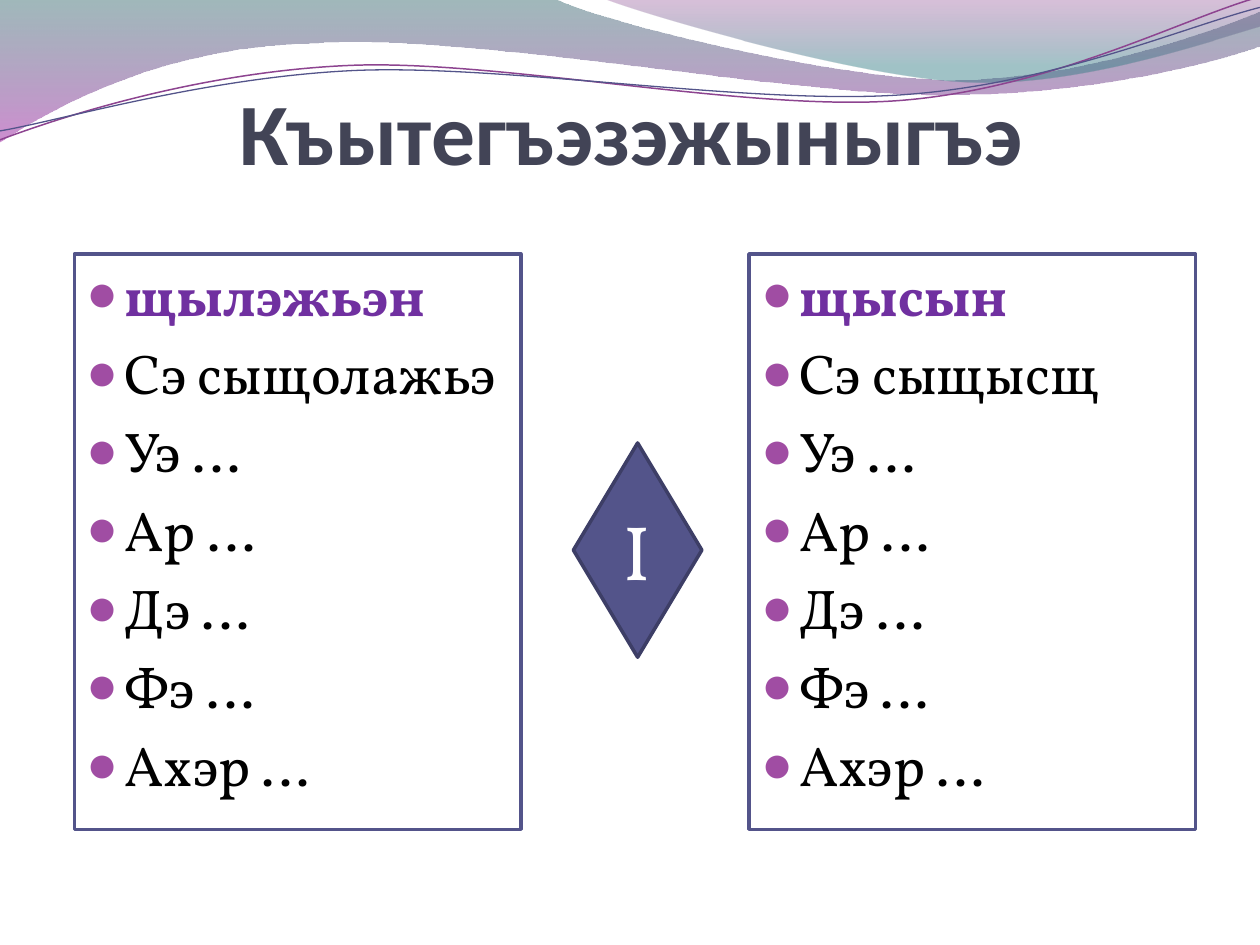
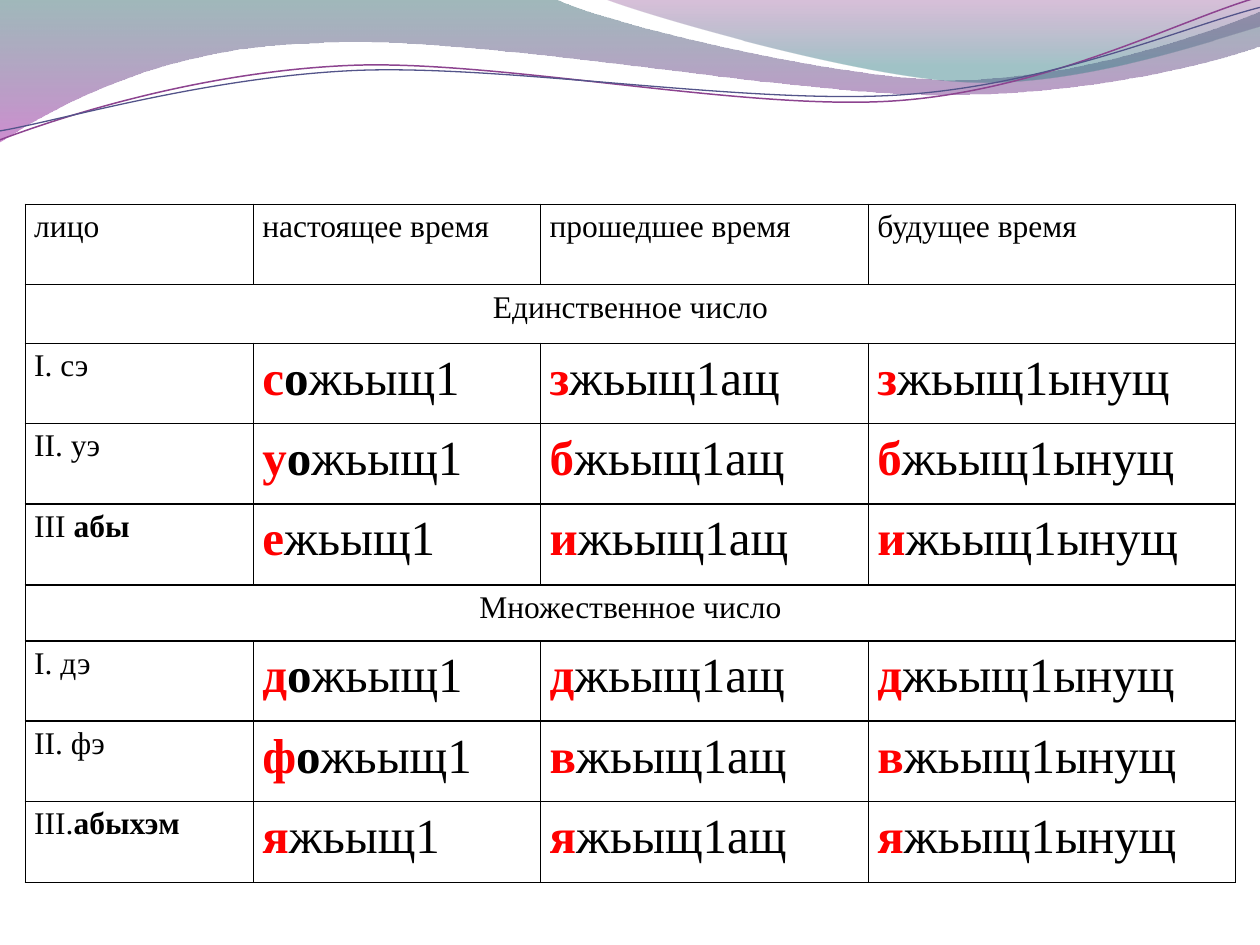
"""Build two slides on verb conjugation: a conjugation exercise and a tense table."""
import lxml.etree
import pptx
import pptx.dml.color
import pptx.enum.shapes
import pptx.enum.text
import pptx.oxml.ns
import pptx.util

Cm = pptx.util.Cm
Pt = pptx.util.Pt
RGBColor = pptx.dml.color.RGBColor
Align = pptx.enum.text.PP_ALIGN
Anchor = pptx.enum.text.MSO_ANCHOR
Shape = pptx.enum.shapes.MSO_SHAPE

WHITE = RGBColor(0xFF, 0xFF, 0xFF)
BLACK = RGBColor(0, 0, 0)
RED = RGBColor(0xFF, 0, 0)
SLATE = RGBColor(0x42, 0x44, 0x56)
INDIGO = RGBColor(0x53, 0x54, 0x8A)
DARK_INDIGO = RGBColor(0x3D, 0x3E, 0x66)
VIOLET = RGBColor(0x70, 0x30, 0xA0)
ORCHID = RGBColor(0xA0, 0x4D, 0xA3)
PLUM = RGBColor(0x8D, 0x44, 0x90)
TEAL = RGBColor(0x2D, 0x63, 0x68)
LIGHT_TEAL = RGBColor(0x2F, 0x7B, 0x82)
MAGENTA = RGBColor(0xA5, 0x30, 0xA9)
PURPLE = RGBColor(0x7F, 0x2F, 0x82)

TITLE = {"name": "Calibri", "size": Pt(50), "bold": True}
LIST_TEXT = {"name": "Vollkorn", "size": Pt(32), "bold": False}
LIST_HEAD = LIST_TEXT | {"bold": True}
BADGE = {"name": "Vollkorn", "size": Pt(44)}
LABEL = {"name": "Times New Roman", "size": Pt(18), "bold": False}
VERB = LABEL | {"size": Pt(28)}

WIDE_WAVE = [
    (0, 0), (11.18, -0.03),
    (12.09, 0.43, 16.87, 1.6, 19.25, 1.6), (21.67, 1.6, 24.33, 0.66, 25.4, 0.23),
    (25.43, 0.91),
    (24.97, 1.12, 22.1, 1.93, 18.95, 1.91), (15.8, 1.91, 9.7, 0.71, 6.53, 0.86),
    (3.28, 0.91, 1.17, 2.11, -0.03, 2.87), (0, 0),
]
RIGHT_WAVE = [
    (12.17, -0.03),
    (12.93, 0.28, 17.32, 1.57, 19.53, 1.65), (21.74, 1.75, 24.41, 0.81, 25.4, 0.53),
    (25.4, 0), (12.17, -0.03),
]
PLUM_LINE = [
    (0, 2.82),
    (1.22, 2.36, 4.01, 1.45, 7.04, 1.32), (10.03, 1.19, 15.06, 2.26, 18.11, 2.03),
    (21.16, 1.8, 23.83, 0.38, 25.35, -0.05),
]
INDIGO_LINE = [
    (0, 2.64),
    (1.19, 2.44, 4.17, 1.55, 7.19, 1.42), (10.24, 1.3, 15.16, 2.13, 18.21, 1.91),
    (21.23, 1.7, 23.9, 0.53, 25.4, 0.15),
]

PRONOUNS = ["Уэ …", "Ар …", "Дэ …", "Фэ …", "Ахэр …"]
TENSES = ["лицо", "настоящее время", "прошедшее время", "будущее время"]
NUMBERS = [
    ("Единственное число", [
        ("I. сэ", "", "с", "о", "з"),
        ("II. уэ", "", "у", "о", "б"),
        ("III ", "абы", "е", "", "и"),
    ]),
    ("Множественное число", [
        ("I. дэ", "", "д", "о", "д"),
        ("II. фэ", "", "ф", "о", "в"),
        ("III.", "абыхэм", "я", "", "я"),
    ]),
]
COLUMN_WIDTHS = [4.6, 5.79, 6.61, 7.4]
ROW_HEIGHTS = [1.62, 1.18, 1.62, 1.62, 1.63, 1.13, 1.62, 1.62, 1.63]


def add_element(parent, tag, **attributes):
    """Append a DrawingML element to a parent and return it."""
    return lxml.etree.SubElement(parent, pptx.oxml.ns.qn(tag), attributes)


def add_span(para, text, color, values):
    """Add a run with the given colour and font values."""
    span = para.add_run()
    span.text = text
    for name, value in values.items():
        setattr(span.font, name, value)
    span.font.color.rgb = color


def bend(outline, segment, step):
    """Turn a straight segment into a Bézier curve through the step's control points."""
    end = segment[0]
    segment.tag = pptx.oxml.ns.qn("a:cubicBezTo")
    for x, y in (step[:2], step[2:4]):
        add_element(segment, "a:pt", x=str(Cm(x) - outline.left), y=str(Cm(y) - outline.top))
    segment.append(end)


def add_outline(page, steps, close):
    """Draw a freeform whose steps are end points, or curves of three points."""
    start, *others = [(Cm(step[-2]), Cm(step[-1])) for step in steps]
    builder = page.shapes.build_freeform(*start)
    builder.add_line_segments(others, close=close)
    outline = builder.convert_to_shape()
    outline.shadow.inherit = False
    segments = list(outline.element.iter(pptx.oxml.ns.qn("a:lnTo")))
    for segment, step in zip(segments, steps[1:]):
        if len(step) == 6:
            bend(outline, segment, step)
    return outline


def add_wave(page, steps, stops):
    """Draw a closed wave with a translucent top-to-bottom gradient."""
    wave = add_outline(page, steps, True)
    wave.line.fill.background()
    wave.fill.gradient()
    wave.fill.gradient_angle = 270
    for stop, (position, color, _) in zip(wave.fill.gradient_stops, stops):
        stop.position = position
        stop.color.rgb = color
    elements = wave.element.iter(pptx.oxml.ns.qn("a:gs"))
    for element, (_, _, opacity) in zip(elements, stops):
        add_element(element[0], "a:alpha", val=str(opacity * 1000))


def add_wave_line(page, steps, color, width):
    """Draw an open wavy line."""
    line = add_outline(page, steps, False)
    line.fill.background()
    line.line.color.rgb = color
    line.line.width = Pt(width)


def add_page(deck):
    """Add a blank page with the wave band on top."""
    page = deck.slides.add_slide(deck.slide_layouts[6])
    add_wave(page, WIDE_WAVE, [(0, TEAL, 45), (1, MAGENTA, 55)])
    add_wave(page, RIGHT_WAVE, [(0, PURPLE, 30), (0.8, LIGHT_TEAL, 45)])
    add_wave_line(page, PLUM_LINE, PLUM, 0.85)
    add_wave_line(page, INDIGO_LINE, INDIGO, 0.75)
    return page


def add_title(page, text):
    """Add the centred title, resting on the bottom of its box."""
    box = page.shapes.add_textbox(Cm(1.3), Cm(0.52), Cm(22.86), Cm(3.17))
    frame = box.text_frame
    values = {"word_wrap": True, "vertical_anchor": Anchor.BOTTOM, "margin_left": 0,
              "margin_right": 0, "margin_top": Cm(0.13), "margin_bottom": 0}
    for name, value in values.items():
        setattr(frame, name, value)
    para = frame.paragraphs[0]
    para.alignment = Align.CENTER
    add_span(para, text, SLATE, TITLE)


def add_panel(page, kind, place, fill, line):
    """Add a filled and outlined preset shape."""
    panel = page.shapes.add_shape(kind, *map(Cm, place))
    panel.shadow.inherit = False
    panel.fill.solid()
    panel.fill.fore_color.rgb = fill
    panel.line.color.rgb = line
    panel.line.width = Pt(2)
    return panel


def set_bullet(para, spaced):
    """Give a paragraph a hanging round bullet and optional space before."""
    properties = para._p.get_or_add_pPr()
    properties.set("marL", str(Cm(0.76)))
    properties.set("indent", str(-Cm(0.76)))
    if spaced:
        add_element(add_element(properties, "a:spcBef"), "a:spcPct", val="20000")
    add_element(add_element(properties, "a:buClr"), "a:srgbClr", val=str(ORCHID))
    add_element(properties, "a:buSzPct", val="95000")
    add_element(properties, "a:buFont", typeface="Times New Roman")
    add_element(properties, "a:buChar", char="●")


def add_verb_list(page, left, verb, example):
    """Add a framed list: the verb, its first form and pronouns to continue."""
    panel = add_panel(page, Shape.RECTANGLE, (left, 5.12, 9, 11.6), WHITE, INDIGO)
    frame = panel.text_frame
    frame.vertical_anchor = Anchor.TOP
    for index, text in enumerate([verb, example, *PRONOUNS]):
        para = frame.add_paragraph() if index else frame.paragraphs[0]
        set_bullet(para, index > 0)
        para.alignment = Align.LEFT
        color, values = (BLACK, LIST_TEXT) if index else (VIOLET, LIST_HEAD)
        add_span(para, text, color, values)


def add_badge(page, text):
    """Add the diamond between the two lists."""
    badge = add_panel(page, Shape.DIAMOND, (11.56, 8.93, 2.59, 4.32), INDIGO, DARK_INDIGO)
    badge.text_frame.vertical_anchor = Anchor.MIDDLE
    para = badge.text_frame.paragraphs[0]
    para.alignment = Align.CENTER
    add_span(para, text, WHITE, BADGE)


def style_cell(cell):
    """Give a cell black borders, no fill and narrow margins."""
    properties = cell._tc.get_or_add_tcPr()
    for side in ("a:lnL", "a:lnR", "a:lnT", "a:lnB"):
        border = add_element(properties, side, w=str(Pt(1)))
        add_element(add_element(border, "a:solidFill"), "a:srgbClr", val=str(BLACK))
    cell.fill.background()
    cell.margin_left = cell.margin_right = Cm(0.18)
    cell.margin_top = cell.margin_bottom = 0


def fill_cell(cell, spans, alignment=Align.JUSTIFY):
    """Write the non-empty spans into a cell."""
    para = cell.text_frame.paragraphs[0]
    para.alignment = alignment
    para.line_spacing = 1.15
    for text, color, values in spans:
        if text:
            add_span(para, text, color, values)


def conjugate(person, pronoun, present, vowel, prefix):
    """Return the spans of the four cells for one person."""
    strong = VERB | {"bold": True}
    return [
        [(person, BLACK, LABEL), (pronoun, BLACK, LABEL | {"bold": True})],
        [(present, RED, strong), (vowel, BLACK, strong), ("жьыщ1", BLACK, VERB)],
        [(prefix, RED, strong), ("жьыщ1ащ", BLACK, VERB)],
        [(prefix, RED, strong), ("жьыщ1ынущ", BLACK, VERB)],
    ]


def add_tense_table(page):
    """Add the table of persons and tenses."""
    frame = page.shapes.add_table(
        len(ROW_HEIGHTS), len(COLUMN_WIDTHS), Cm(0.51), Cm(4.12),
        Cm(sum(COLUMN_WIDTHS)), Cm(sum(ROW_HEIGHTS)))
    table = frame.table
    table.first_row = table.horz_banding = False
    for column, width in zip(table.columns, COLUMN_WIDTHS):
        column.width = Cm(width)
    for row, height in zip(table.rows, ROW_HEIGHTS):
        row.height = Cm(height)
    for cell in table.iter_cells():
        style_cell(cell)

    rows = iter(table.rows)
    for cell, tense in zip(next(rows).cells, TENSES):
        fill_cell(cell, [(tense, BLACK, LABEL)])
    for number, persons in NUMBERS:
        band = next(rows).cells
        band[0].merge(band[len(COLUMN_WIDTHS) - 1])
        fill_cell(band[0], [(number, BLACK, LABEL)], Align.CENTER)
        for person in persons:
            for cell, spans in zip(next(rows).cells, conjugate(*person)):
                fill_cell(cell, spans)


def main():
    """Build and save the deck."""
    deck = pptx.Presentation()
    deck.slide_width, deck.slide_height = Cm(25.4), Cm(19.05)

    exercise = add_page(deck)
    add_title(exercise, "Къытегъэзэжыныгъэ")
    add_verb_list(exercise, 1.5, "щылэжьэн", "Сэ сыщолажьэ")
    add_verb_list(exercise, 15.1, "щысын", "Сэ сыщысщ")
    add_badge(exercise, "I")

    add_tense_table(add_page(deck))
    deck.save("out.pptx")


if __name__ == "__main__":
    main()
